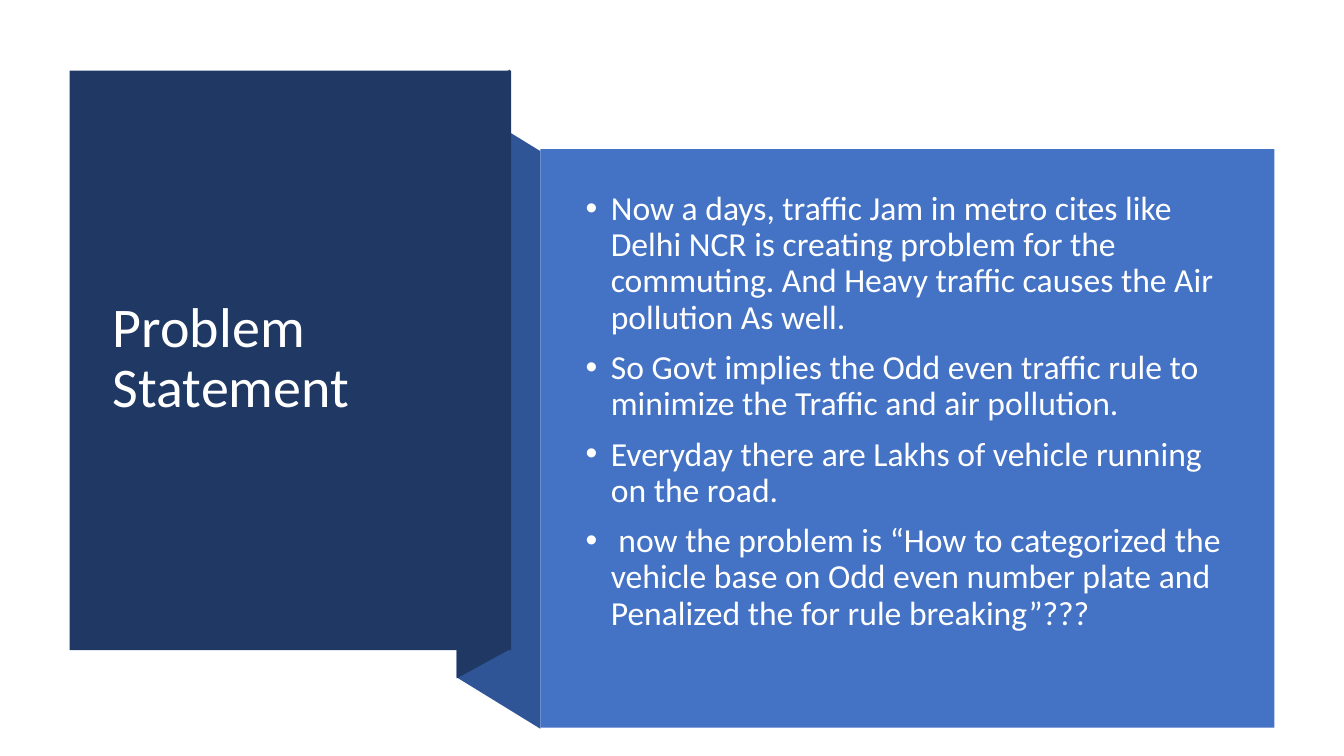
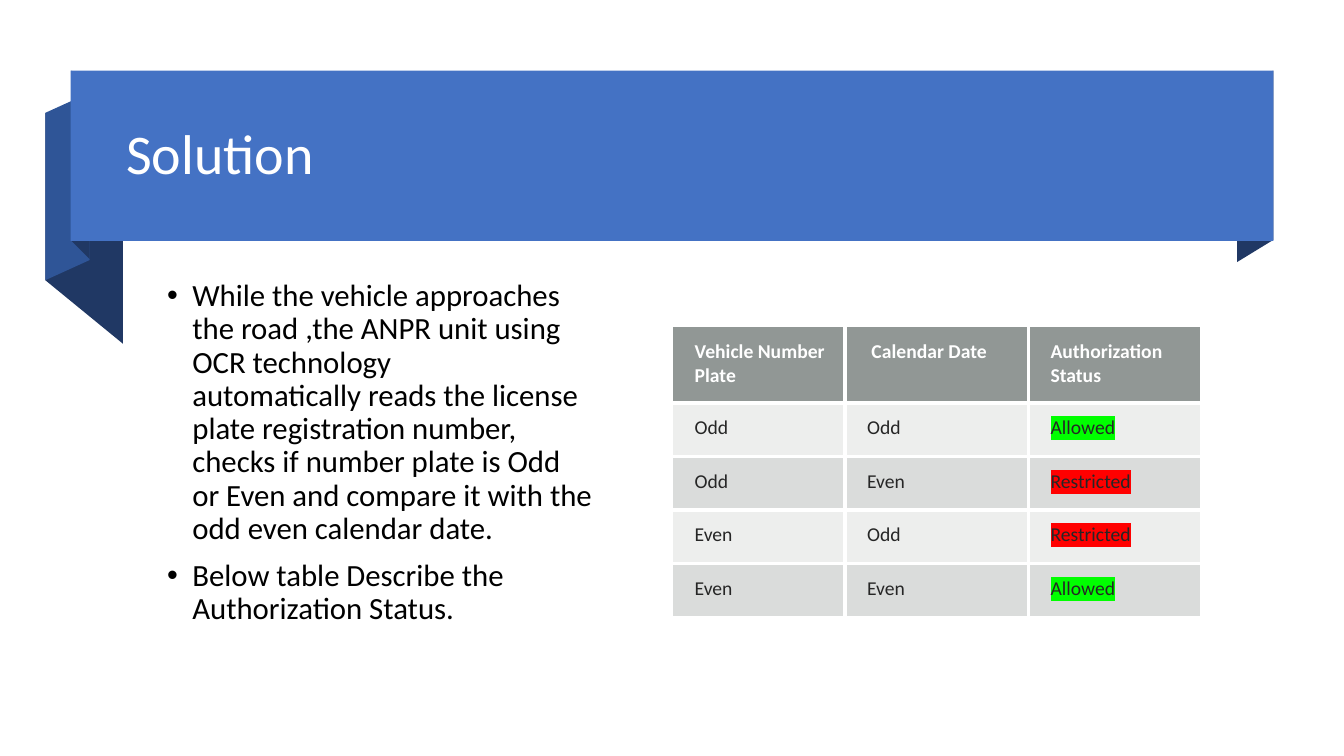
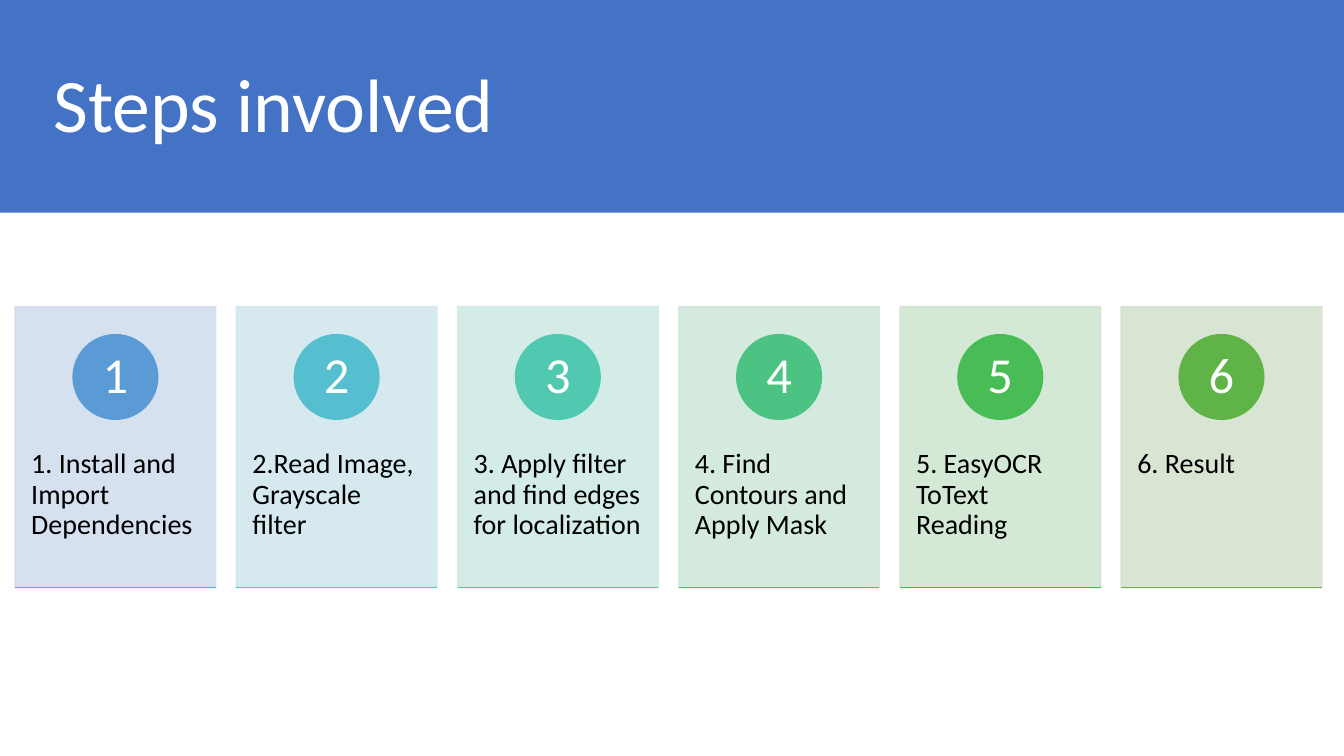
from dataclasses import dataclass

from lxml import etree
from pptx import Presentation
from pptx.dml.color import RGBColor
from pptx.enum import shapes, text
from pptx.oxml.ns import qn
from pptx.util import Inches, Pt


@dataclass(frozen=True)
class Theme:
    """Colours, font and type sizes used on all slides."""
    font: str = "Calibri"
    main: str = "4472C4"
    mid: str = "2F5597"
    dark: str = "203864"
    white: str = "FFFFFF"
    black: str = "000000"
    cell_ink: str = "262626"
    header_fill: str = "636B68"
    row_fill: str = "878E8B"
    title: int = 40
    big_title: int = 54
    problem: int = 24
    solution: int = 22
    table: int = 14
    step: int = 20
    number: int = 36


THEME = Theme()

PROBLEM = [
    "Now a days, traffic Jam in metro cites like Delhi NCR is creating problem "
    "for the commuting. And Heavy traffic causes the Air pollution As well.",
    "So Govt implies the Odd even traffic rule to minimize the Traffic and air pollution.",
    "Everyday there are Lakhs of vehicle running on the road.",
    " now the problem is “How to categorized the vehicle base on Odd even "
    "number plate and Penalized the for rule breaking”???",
]
PROBLEM_FOLDS = [
    (THEME.mid, [(5.36, 7.23), (4.53, 6.72), (4.53, 0.99), (5.36, 1.5)]),
    (THEME.dark, [(5.06, 6.44), (4.53, 6.73), (4.53, 0.98), (5.06, 0.69)]),
]

SOLUTION = [
    "While the vehicle approaches the road ,the ANPR unit using OCR technology "
    "automatically\u00a0reads the license plate registration number, checks if number "
    "plate is Odd or Even and compare it with the odd even calendar date.",
    "Below table Describe the Authorization Status.",
]
SOLUTION_FOLDS = [
    (THEME.dark, [(12.63, 2.38), (12.27, 2.6), (12.27, 0.91), (12.63, 0.7)]),
    (THEME.dark, [(1.22, 3.41), (0.45, 2.78), (0.45, 1.12), (1.22, 1.75)]),
    (THEME.mid, [(0.89, 2.58), (0.45, 2.78), (0.45, 1.12), (0.89, 0.92)]),
    (THEME.dark, [(0.89, 2.57), (0.71, 2.39), (0.71, 0.7), (0.89, 0.89)]),
]
AUTHORIZATION = [
    ("Vehicle Number Plate", " Calendar Date", "Authorization Status"),
    ("Odd", "Odd", "Allowed"),
    ("Odd", "Even", "Restricted"),
    ("Even", "Odd", "Restricted"),
    ("Even", "Even", "Allowed"),
]
COLUMN_WIDTHS = (1.71, 1.82, 1.71)
ROW_HEIGHTS = (0.76, 0.53, 0.53, 0.53, 0.53)
STATUS_COLOURS = {"Allowed": "00FF00", "Restricted": "FF0000"}

STEPS = [  # label, card colour, circle colour, rule colour
    ("1.\u00a0Install and Import Dependencies", "D2DEEF", "5B9BD5", "58ADD2"),
    ("2.Read Image, Grayscale filter", "D1E7ED", "56BFCF", "53CCC8"),
    ("3. Apply filter and find edges for localization", "D0EBE6", "51C9B0", "4FC699"),
    ("4. Find Contours and Apply Mask", "D0E8DB", "4CC382", "4AC06B"),
    ("5.\u00a0EasyOCR ToText Reading", "CFE6D1", "48BC55", "4DB946"),
    ("6.\u00a0Result", "D5E3CF", "60B347", "70AD47"),
]


def box(*lengths):
    """Turn lengths in inches into slide units."""
    return [Inches(length) for length in lengths]


def rgb(colour):
    """Read a hex colour."""
    return RGBColor.from_string(colour)


def fade(properties, opacity):
    """Make the colours inside an element partly transparent."""
    for colour in properties.iter(qn("a:srgbClr")):
        etree.SubElement(colour, qn("a:alpha"), val=str(opacity * 1000))


def paint(shape, colour, outlined=False):
    """Give a shape a flat fill, with a thin line of that colour if asked."""
    shape.shadow.inherit = False
    shape.fill.solid()
    shape.fill.fore_color.rgb = rgb(colour)
    if outlined:
        shape.line.color.rgb = rgb(colour)
        shape.line.width = Pt(1)
    else:
        shape.line.fill.background()
    return shape


def add_block(slide, colour, place, kind=shapes.MSO_SHAPE.RECTANGLE, outlined=False):
    """Add a flat preset shape."""
    return paint(slide.shapes.add_shape(kind, *box(*place)), colour, outlined)


def add_folds(slide, folds):
    """Draw the folded ribbon ends."""
    for colour, corners in folds:
        start, *rest = [tuple(box(*corner)) for corner in corners]
        outline = slide.shapes.build_freeform(*start)
        outline.add_line_segments(rest, close=True)
        paint(outline.convert_to_shape(), colour)


def set_frame(frame, anchor, insets=(0.1, 0.05, 0.1, 0.05)):
    """Set wrapping, anchor and insets of a text frame."""
    frame.word_wrap = True
    frame.auto_size = text.MSO_AUTO_SIZE.NONE
    frame.vertical_anchor = anchor
    (frame.margin_left, frame.margin_top,
     frame.margin_right, frame.margin_bottom) = box(*insets)


def write(paragraph, words, size, colour, spacing=0.9, align=text.PP_ALIGN.LEFT, bold=False):
    """Write one run into a paragraph and return it."""
    paragraph.alignment = align
    paragraph.line_spacing = spacing
    run = paragraph.add_run()
    run.text = words
    run.font.name = THEME.font
    run.font.size = Pt(size)
    run.font.bold = bold
    run.font.color.rgb = rgb(colour)
    return run


def add_title(slide, words, place, size=THEME.title):
    """Place the title above the shapes drawn so far."""
    title = slide.shapes.title
    title.left, title.top, title.width, title.height = box(*place)
    set_frame(title.text_frame, text.MSO_ANCHOR.MIDDLE)
    write(title.text_frame.paragraphs[0], words, size, THEME.white)
    slide.shapes._spTree.append(title._element)


def add_bullets(slide, points, place, size, colour):
    """Add a bulleted list."""
    frame = slide.shapes.add_textbox(*box(*place)).text_frame
    set_frame(frame, text.MSO_ANCHOR.TOP)
    for index, point in enumerate(points):
        paragraph = frame.add_paragraph() if index else frame.paragraphs[0]
        write(paragraph, point, size, colour)
        paragraph.space_before = Pt(10)
        properties = paragraph._p.get_or_add_pPr()
        properties.set("marL", str(Inches(0.25)))
        properties.set("indent", str(-Inches(0.25)))
        etree.SubElement(properties, qn("a:buFont"), typeface="Arial")
        etree.SubElement(properties, qn("a:buChar"), char="•")


def highlight(run, colour):
    """Mark a run with a background colour."""
    mark = etree.Element(qn("a:highlight"))
    etree.SubElement(mark, qn("a:srgbClr"), val=colour)
    run._r.rPr.find(qn("a:solidFill")).addnext(mark)


def add_borders(cell, sides):
    """Draw white borders on the given sides, in the order L, R, T, B."""
    properties = cell._tc.get_or_add_tcPr()
    for index, side in enumerate(sides):
        border = etree.Element(qn(f"a:ln{side}"), w=str(Pt(3)))
        fill = etree.SubElement(border, qn("a:solidFill"))
        etree.SubElement(fill, qn("a:srgbClr"), val=THEME.white)
        properties.insert(index, border)


def fill_cell(cell, words, row):
    """Write and colour one table cell."""
    header = row == 0
    set_insets = box(0.22, 0.13, 0.13, 0.13)
    cell.margin_left, cell.margin_top, cell.margin_right, cell.margin_bottom = set_insets
    run = write(cell.text_frame.paragraphs[0], words, THEME.table,
                THEME.white if header else THEME.cell_ink, spacing=1.0, bold=header)
    if words in STATUS_COLOURS:
        highlight(run, STATUS_COLOURS[words])
    cell.fill.solid()
    cell.fill.fore_color.rgb = rgb(THEME.header_fill if header else THEME.row_fill)
    fade(cell._tc.tcPr, 70 if header else 15 if row % 2 else 30)


def add_authorization(slide):
    """Add the table of plates, dates and statuses."""
    rows, columns = len(AUTHORIZATION), len(COLUMN_WIDTHS)
    place = box(6.67, 3.24, sum(COLUMN_WIDTHS), sum(ROW_HEIGHTS))
    table = slide.shapes.add_table(rows, columns, *place).table
    table.first_row = table.horz_banding = False
    for column, width in zip(table.columns, COLUMN_WIDTHS):
        column.width = Inches(width)
    for line, height in zip(table.rows, ROW_HEIGHTS):
        line.height = Inches(height)
    for row, entries in enumerate(AUTHORIZATION):
        for column, words in enumerate(entries):
            cell = table.cell(row, column)
            fill_cell(cell, words, row)
            inner = {"L": column > 0, "R": column < columns - 1,
                     "T": row > 0, "B": row < rows - 1}
            add_borders(cell, [side for side, shown in inner.items() if shown])


def add_step(slide, number, left, step):
    """Add one card with its numbered circle and base rule."""
    label, card_colour, circle_colour, rule_colour = step
    top, width, height, circle_size = 3.04, 1.99, 2.79, 0.84
    bottom = top + height

    card = add_block(slide, card_colour, (left, top, width, height), outlined=True)
    fade(card._element.spPr, 90)

    caption = slide.shapes.add_textbox(*box(left, 4.1, width, 1.68)).text_frame
    set_frame(caption, text.MSO_ANCHOR.TOP, (0.16, 0.36, 0.16, 0.36))
    write(caption.paragraphs[0], label, THEME.step, THEME.black)

    circle_left = left + (width - circle_size) / 2
    circle = add_block(slide, circle_colour, (circle_left, 3.32, circle_size, circle_size),
                       shapes.MSO_SHAPE.OVAL, outlined=True)
    set_frame(circle.text_frame, text.MSO_ANCHOR.MIDDLE, (0, 0, 0, 0))
    write(circle.text_frame.paragraphs[0], str(number), THEME.number, THEME.white,
          align=text.PP_ALIGN.CENTER)

    rule = slide.shapes.add_connector(shapes.MSO_CONNECTOR.STRAIGHT,
                                      *box(left, bottom, left + width, bottom))
    rule.line.color.rgb = rgb(rule_colour)
    rule.line.width = Pt(1)
    etree.SubElement(rule._element.spPr, qn("a:effectLst"))


def build_problem(slide):
    """Problem statement: dark title panel beside the blue text panel."""
    add_folds(slide, PROBLEM_FOLDS)
    add_block(slide, THEME.dark, (0.69, 0.7, 4.38, 5.75))
    add_title(slide, "Problem Statement", (1.02, 1.07, 3.71, 4.99))
    add_block(slide, THEME.main, (5.36, 1.48, 7.28, 5.74))
    add_bullets(slide, PROBLEM, (5.71, 1.85, 6.51, 4.74), THEME.problem, THEME.white)


def build_solution(slide):
    """Solution: ribbon title, explanation and authorization table."""
    add_folds(slide, SOLUTION_FOLDS)
    add_block(slide, THEME.main, (0.7, 0.7, 11.93, 1.69))
    add_title(slide, "Solution", (1.15, 0.83, 11.27, 1.45))
    add_bullets(slide, SOLUTION, (1.56, 2.73, 4.43, 3.9), THEME.solution, THEME.black)
    add_authorization(slide)


def build_steps(slide):
    """Steps: full-width title band over a row of cards."""
    add_block(slide, THEME.main, (0, 0, 13.33, 2.11))
    add_title(slide, "Steps involved", (0.43, 0.35, 12.48, 1.45), THEME.big_title)
    first, last = 0.15, 11.12
    pitch = (last - first) / (len(STEPS) - 1)
    for index, step in enumerate(STEPS):
        add_step(slide, index + 1, first + index * pitch, step)


def main():
    """Build and save the deck."""
    deck = Presentation()
    deck.slide_width, deck.slide_height = box(13.33, 7.5)
    title_only = deck.slide_layouts[5]
    for build in (build_problem, build_solution, build_steps):
        build(deck.slides.add_slide(title_only))
    deck.save("out.pptx")


main()
